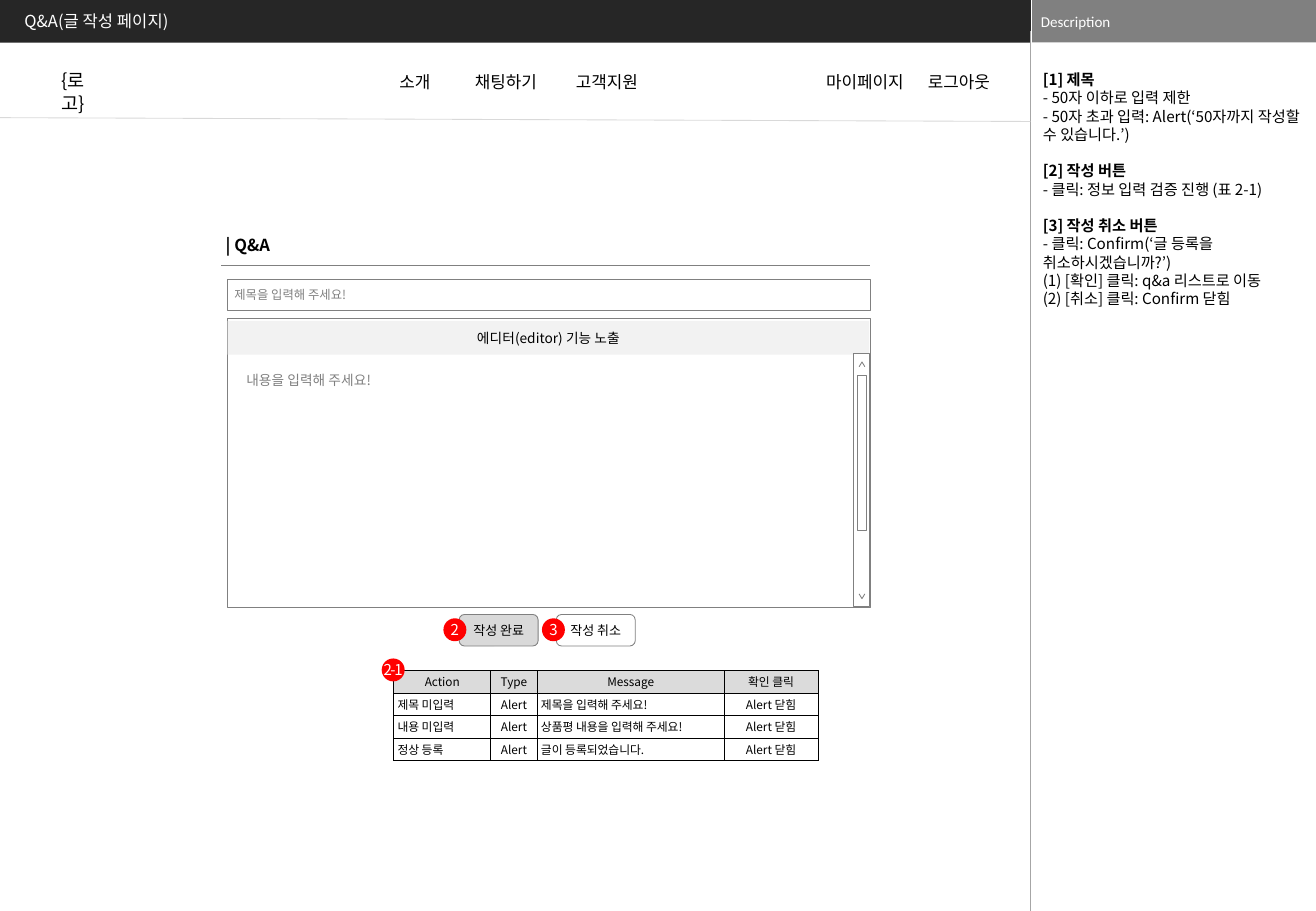
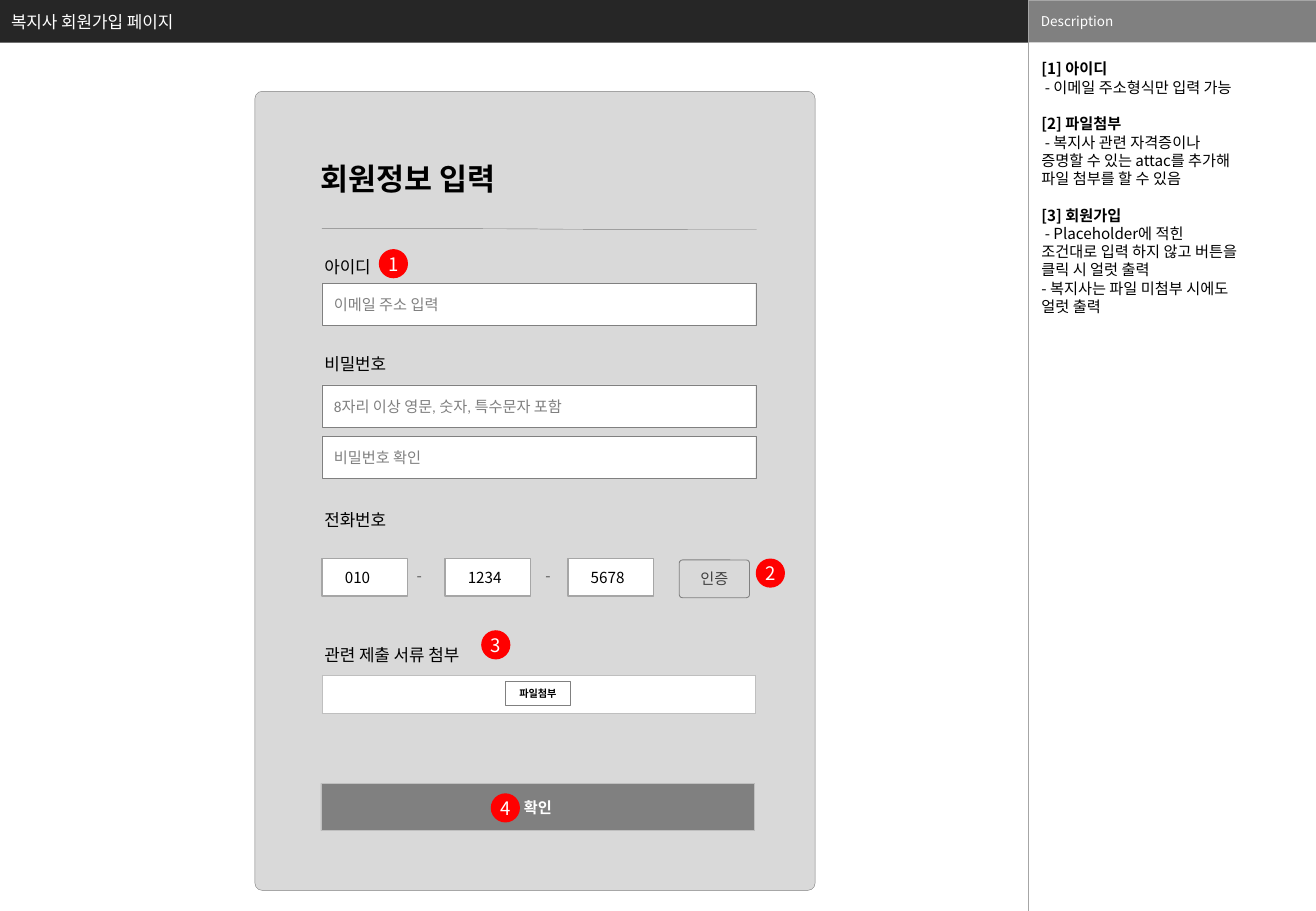
from dataclasses import dataclass
from lxml import etree
from pptx import Presentation
from pptx import util as u
from pptx.dml.color import RGBColor
from pptx.enum import shapes, text
from pptx.oxml.ns import qn


@dataclass(frozen=True)
class Theme:
    korean: str = "Noto Sans CJK KR"
    latin: str = "Calibri"
    band: str = "262626"
    gray: str = "808080"
    rule: str = "A6A6A6"
    edge: str = "BFBFBF"
    card: str = "D9D9D9"
    header: str = "DBDBDB"
    toolbar: str = "F2F2F2"
    marker: str = "FF0000"
    dash: str = "595959"
    dim: str = "404040"
    white: str = "FFFFFF"
    black: str = "000000"
    hairline: float = 0.25
    thin: float = 0.5
    heading: float = 18
    logo: float = 11
    label: float = 10
    title: float = 9.8
    body: float = 9
    badge: float = 8.9
    editor: float = 8.1
    caption: float = 8
    button: float = 7.7
    hint: float = 7.3
    cell: float = 7
    tiny: float = 6
    gap: float = 10.8


THEME = Theme()
WIDTH, HEIGHT, BAND = 27.51, 19.05, 0.89
KIND = shapes.MSO_SHAPE
LEFT, CENTER = text.PP_ALIGN.LEFT, text.PP_ALIGN.CENTER
MIDDLE, TOP = text.MSO_ANCHOR.MIDDLE, text.MSO_ANCHOR.TOP


def cm(*lengths):
    return [u.Cm(length) for length in lengths]


def write(para, words, size=THEME.body, color=THEME.black, bold=False,
          font=THEME.korean, align=LEFT, spacing=None):
    para.alignment = align
    span = para.add_run()
    span.text = words
    span.font.size = u.Pt(size)
    span.font.bold = bold
    span.font.color.rgb = RGBColor.from_string(color)
    span.font.name = font
    props = span.font._element
    etree.SubElement(props, qn("a:ea")).set("typeface", THEME.korean)
    if spacing is not None:
        props.set("spc", str(int(spacing * 100)))


def set_frame(frame, insets=(0, 0, 0, 0), anchor=MIDDLE, wrap=True):
    frame.word_wrap = wrap
    frame.auto_size = text.MSO_AUTO_SIZE.NONE
    frame.vertical_anchor = anchor
    (frame.margin_left, frame.margin_top,
     frame.margin_right, frame.margin_bottom) = cm(*insets)


def paint(box, fill=None, line=None, weight=THEME.thin):
    if fill:
        box.fill.solid()
        box.fill.fore_color.rgb = RGBColor.from_string(fill)
    else:
        box.fill.background()
    if line:
        box.line.color.rgb = RGBColor.from_string(line)
        box.line.width = u.Pt(weight)
    else:
        box.line.fill.background()


def add_box(page, at, words=None, kind=KIND.RECTANGLE, fill=None, line=None,
            weight=THEME.thin, inset=0, wrap=True, corner=None, **format):
    box = page.shapes.add_shape(kind, *cm(*at))
    box.shadow.inherit = False
    paint(box, fill, line, weight)
    if corner is not None:
        box.adjustments[0] = corner
    if words:
        set_frame(box.text_frame, (inset, 0, 0, 0), wrap=wrap)
        write(box.text_frame.paragraphs[0], words, **format)
    return box


def add_label(page, left, top, words, width=6, height=0.69, **format):
    box = page.shapes.add_textbox(*cm(left, top, width, height))
    set_frame(box.text_frame, (0.25, 0.13, 0, 0), TOP)
    write(box.text_frame.paragraphs[0], words, **format)


def add_badge(page, left, top, words, diameter, size, **format):
    add_box(page, (left, top, diameter, diameter), words, KIND.OVAL,
            THEME.marker, wrap=False, size=size, color=THEME.white,
            align=CENTER, **format)


def add_line(page, start, end, color, weight=THEME.thin,
             kind=shapes.MSO_CONNECTOR.STRAIGHT):
    line = page.shapes.add_connector(kind, *cm(*start, *end))
    line.line.color.rgb = RGBColor.from_string(color)
    line.line.width = u.Pt(weight)
    etree.SubElement(line._element.spPr, qn("a:effectLst"))


def add_chevron(page, base, tip):
    left, middle, right = cm(17.96, 18.02, 18.08)
    base, tip = cm(base, tip)
    builder = page.shapes.build_freeform(left, base)
    builder.add_line_segments([(middle, tip), (right, base)], close=False)
    chevron = builder.convert_to_shape()
    chevron.shadow.inherit = False
    paint(chevron, THEME.white, THEME.gray)


def style_cell(cell, border, fill=None):
    cell.margin_left = cell.margin_right = u.Cm(0.08)
    cell.margin_top = cell.margin_bottom = 0
    cell.vertical_anchor = MIDDLE
    if fill:
        cell.fill.solid()
        cell.fill.fore_color.rgb = RGBColor.from_string(fill)
    else:
        cell.fill.background()
    props = cell._tc.get_or_add_tcPr()
    for index, side in enumerate(("lnL", "lnR", "lnT", "lnB")):
        line = etree.Element(qn(f"a:{side}"), w=str(u.Pt(THEME.thin)))
        solid = etree.SubElement(line, qn("a:solidFill"))
        etree.SubElement(solid, qn("a:srgbClr")).set("val", border)
        props.insert(index, line)


def add_grid(page, left, top, columns, row_height, rows, border, fills):
    frame = page.shapes.add_table(
        len(rows), len(columns),
        *cm(left, top, sum(columns), row_height * len(rows)))
    table = frame.table
    table.first_row = table.horz_banding = False
    for column, width in zip(table.columns, columns):
        column.width = u.Cm(width)
    for r, (row, fill) in enumerate(zip(rows, fills)):
        table.rows[r].height = u.Cm(row_height)
        for c, words in enumerate(row):
            cell = table.cell(r, c)
            style_cell(cell, border, fill)
            if words:
                align = LEFT if r and c in (0, 2) else CENTER
                write(cell.text_frame.paragraphs[0], words,
                      size=THEME.cell, align=align)


def place(holder, at):
    holder.left, holder.top, holder.width, holder.height = cm(*at)


def add_page(deck, title, title_inset, title_size, edge, notes, notes_at,
             **caption):
    page = deck.slides.add_slide(deck.slide_layouts[1])
    heading, body = page.placeholders
    place(heading, (0, 0, edge, BAND))
    paint(heading, THEME.band)
    set_frame(heading.text_frame, (title_inset, 0, 0, 0))
    write(heading.text_frame.paragraphs[0], title, size=title_size,
          color=THEME.white)
    place(body, notes_at)
    set_frame(body.text_frame, anchor=TOP)
    for index, words in enumerate(notes):
        para = (body.text_frame.add_paragraph() if index
                else body.text_frame.paragraphs[0])
        is_heading = words.startswith("[")
        write(para, words, bold=is_heading)
        para.line_spacing = 1.0
        para.space_before = u.Pt(THEME.gap if is_heading and index else 0)
        props = para._p.get_or_add_pPr()
        props.set("marL", "0")
        props.set("indent", "0")
        etree.SubElement(props, qn("a:buNone"))
    add_box(page, (edge, 0, WIDTH - edge, BAND), "Description",
            fill=THEME.gray, color=THEME.white, **caption)
    return page


def build_question_page(deck):
    notes = [
        "[1] 제목",
        "- 50자 이하로 입력 제한",
        "- 50자 초과 입력: Alert(‘50자까지 작성할 수 있습니다.’)",
        "[2] 작성 버튼",
        "- 클릭: 정보 입력 검증 진행 (표 2-1)",
        "[3] 작성 취소 버튼",
        "- 클릭: Confirm(‘글 등록을 취소하시겠습니까?’)",
        "(1) [확인] 클릭: q&a 리스트로 이동",
        "(2) [취소] 클릭: Confirm 닫힘",
    ]
    page = add_page(deck, "Q&A(글 작성 페이지)", 0.51, THEME.title, 21.56,
                    notes, (21.8, 1.47, 5.51, 12.6), inset=0.2,
                    size=THEME.badge, font=THEME.latin)
    add_line(page, (21.56, 0), (21.56, BAND), THEME.white, THEME.hairline)
    add_line(page, (21.54, 0.64), (21.54, HEIGHT), THEME.rule)
    add_line(page, (0, 2.46), (21.54, 2.54), THEME.card)
    add_label(page, 1.04, 1.32, "{로고}", width=1.1, size=THEME.logo)
    for left, words in ((8.1, "소개"), (9.68, "채팅하기"), (11.79, "고객지원"),
                        (17.02, "마이페이지"), (19.15, "로그아웃")):
        add_label(page, left, 1.37, words, width=2.3, size=THEME.label)

    add_label(page, 4.47, 4.78, "| Q&A", size=THEME.title, bold=True)
    add_line(page, (4.62, 5.54), (18.19, 5.54), THEME.gray)
    add_box(page, (4.75, 5.84, 13.44, 0.66), "제목을 입력해 주세요!",
            line=THEME.gray, inset=0.15, size=THEME.hint, color=THEME.gray)
    add_box(page, (4.75, 6.65, 13.44, 6.05), line=THEME.gray)
    add_box(page, (4.76, 6.71, 13.41, 0.71), "에디터(editor) 기능 노출",
            fill=THEME.toolbar, size=THEME.editor, align=CENTER)
    add_label(page, 4.9, 7.65, "내용을 입력해 주세요!", size=THEME.editor,
              color=THEME.gray)
    for bar in ((17.84, 7.4, 0.33, 5.28), (17.92, 7.86, 0.2, 3.23)):
        add_box(page, bar, fill=THEME.white, line=THEME.gray)
    add_chevron(page, 7.67, 7.57)
    add_chevron(page, 12.42, 12.52)

    for left, words, fill in ((9.6, "작성 완료", THEME.card),
                              (11.63, "작성 취소", None)):
        add_box(page, (left, 12.85, 1.65, 0.66), words,
                KIND.ROUNDED_RECTANGLE, fill, THEME.gray,
                size=THEME.button, align=CENTER)
    rows = [
        ("Action", "Type", "Message", "확인 클릭"),
        ("제목 미입력", "Alert", "제목을 입력해 주세요!", "Alert 닫힘"),
        ("내용 미입력", "Alert", "상품평 내용을 입력해 주세요!", "Alert 닫힘"),
        ("정상 등록", "Alert", "글이 등록되었습니다.", "Alert 닫힘"),
    ]
    add_grid(page, 8.23, 14.02, (2.03, 0.97, 3.91, 1.96), 0.47, rows,
             THEME.black, [THEME.header, None, None, None])
    for left, top, words, spacing in ((9.27, 12.93, "2", None),
                                      (11.33, 12.93, "3", None),
                                      (7.98, 13.77, "2-1", -0.8)):
        add_badge(page, left, top, words, 0.48, THEME.badge, spacing=spacing)


def build_signup_page(deck):
    notes = [
        "[1] 아이디",
        " - 이메일 주소형식만 입력 가능",
        "[2] 파일첨부",
        " - 복지사 관련 자격증이나 증명할 수 있는 attac를 추가해 파일 첨부를 할 수 있음",
        "[3] 회원가입",
        " - Placeholder에 적힌 조건대로 입력 하지 않고 버튼을 클릭 시 얼럿 출력",
        "- 복지사는 파일 미첨부 시에도 얼럿 출력",
    ]
    page = add_page(deck, "복지사 회원가입 페이지", 0.23, THEME.label, 21.51,
                    notes, (21.77, 1.25, 4.19, 5.4), inset=0.25,
                    size=THEME.caption)
    add_box(page, (21.49, 0, 6.02, HEIGHT), line=THEME.rule,
            weight=THEME.hairline)
    add_box(page, (5.33, 1.91, 11.71, 16.71), kind=KIND.ROUNDED_RECTANGLE,
            fill=THEME.card, line=THEME.gray, weight=THEME.hairline,
            corner=0.013)
    add_label(page, 6.45, 3.23, "회원정보 입력", height=1.02,
              size=THEME.heading, bold=True)
    add_line(page, (6.73, 4.78), (15.82, 4.8), THEME.gray, THEME.hairline,
             shapes.MSO_CONNECTOR.CURVE)

    for top, words in ((5.23, "아이디"), (7.26, "비밀번호"),
                       (10.52, "전화번호"), (13.36, "관련 제출 서류 첨부")):
        add_label(page, 6.53, top, words, size=THEME.label, font=THEME.latin)
    for top, words, font in (
            (5.92, "이메일 주소 입력", THEME.korean),
            (8.05, "8자리 이상 영문, 숫자, 특수문자 포함", THEME.latin),
            (9.12, "비밀번호 확인", THEME.korean)):
        add_box(page, (6.73, top, 9.07, 0.89), words, fill=THEME.white,
                line=THEME.gray, weight=THEME.hairline, inset=0.25,
                color=THEME.gray, font=font)

    for index, digits in enumerate(("010", "1234", "5678")):
        add_box(page, (6.73 + 2.57 * index, 11.68, 1.79, 0.79), digits,
                fill=THEME.white, line=THEME.rule, weight=1, inset=0.48)
    for left in (8.46, 11.15):
        add_label(page, left, 11.72, "-", width=0.61, color=THEME.dash)
    add_box(page, (14.2, 11.71, 1.47, 0.79), "인증", KIND.ROUNDED_RECTANGLE,
            THEME.card, THEME.gray, corner=0.088, color=THEME.dim,
            align=CENTER)

    add_grid(page, 6.73, 14.12, (9.07,), 0.79, [("",)], THEME.edge,
             [THEME.white])
    add_box(page, (10.57, 14.25, 1.35, 0.51), "파일첨부", fill=THEME.white,
            line=THEME.gray, size=THEME.tiny, bold=True, align=CENTER)
    add_box(page, (6.71, 16.38, 9.07, 0.99), "확인", fill=THEME.gray,
            line=THEME.edge, color=THEME.white, bold=True, align=CENTER)
    for left, top, words in ((7.92, 5.21, "1"), (15.8, 11.68, "2"),
                             (10.06, 13.18, "3"), (10.26, 16.59, "4")):
        add_badge(page, left, top, words, 0.61, THEME.logo)


def main():
    deck = Presentation()
    deck.slide_width, deck.slide_height = cm(WIDTH, HEIGHT)
    build_question_page(deck)
    build_signup_page(deck)
    deck.save("out.pptx")


if __name__ == "__main__":
    main()
